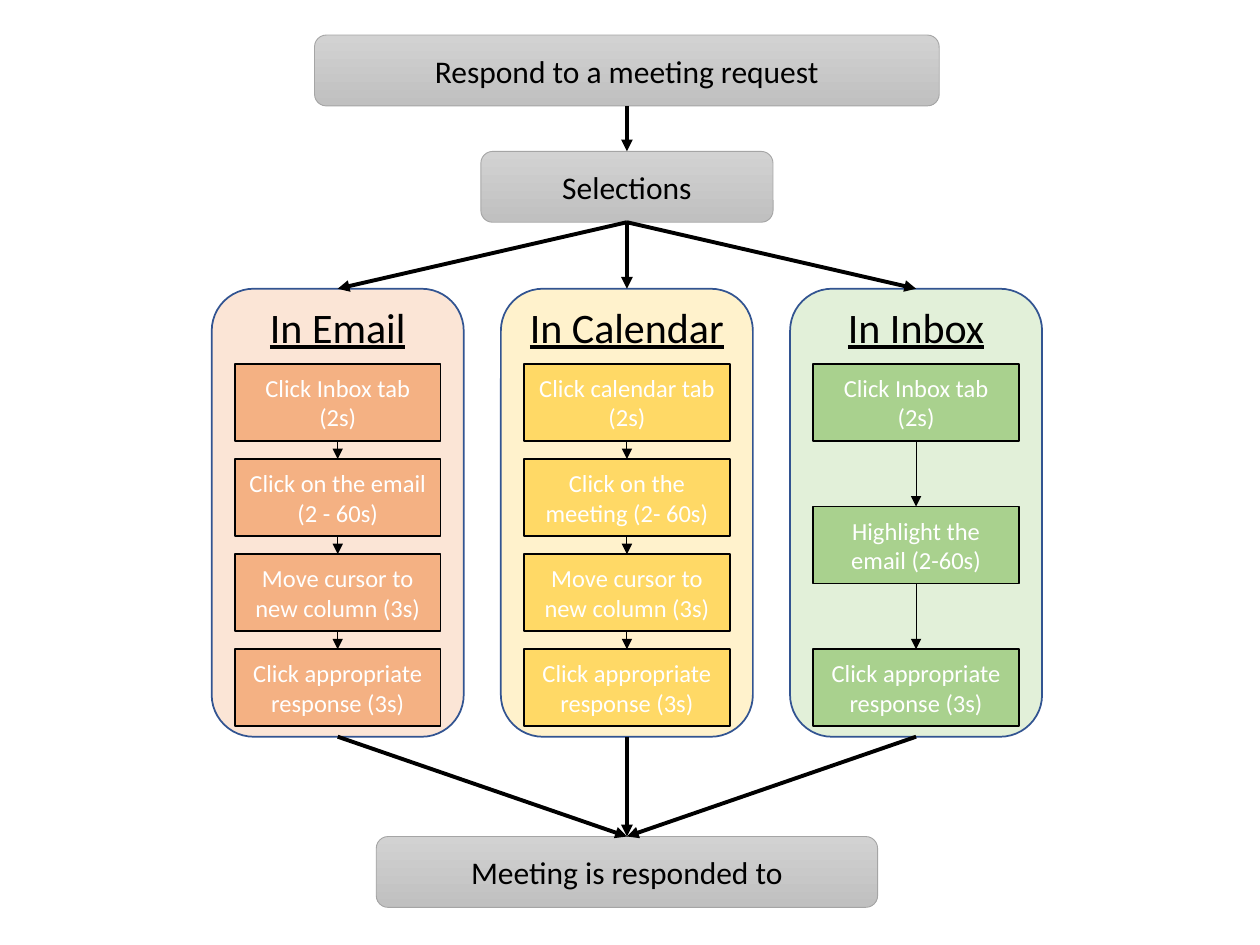
from itertools import pairwise

from lxml.etree import SubElement
from pptx import Presentation
from pptx.dml.color import RGBColor
from pptx.enum.shapes import MSO_CONNECTOR, MSO_SHAPE
from pptx.enum.text import MSO_ANCHOR, PP_ALIGN
from pptx.oxml.ns import qn
from pptx.util import Pt

BLACK = RGBColor(0x00, 0x00, 0x00)
WHITE = RGBColor(0xFF, 0xFF, 0xFF)
NAVY = RGBColor(0x32, 0x54, 0x91)
GREY = RGBColor(0xA5, 0xA5, 0xA5)
GREY_TOP = RGBColor(0xD2, 0xD2, 0xD2)
GREY_BOTTOM = RGBColor(0xC0, 0xC0, 0xC0)
PEACH = RGBColor(0xFB, 0xE5, 0xD6)
ORANGE = RGBColor(0xF4, 0xB1, 0x83)
CREAM = RGBColor(0xFF, 0xF2, 0xCC)
YELLOW = RGBColor(0xFF, 0xD9, 0x66)
MINT = RGBColor(0xE2, 0xF0, 0xD9)
GREEN = RGBColor(0xA9, 0xD1, 0x8E)

GOAL = ("Respond to a meeting request", 20, 357)
CHOICE = ("Selections", 86.5, 167)
RESULT = ("Meeting is responded to", 478, 286.5)
METHODS = [
    ("In Email", PEACH, ORANGE, [
        "Click Inbox tab (2s)",
        "Click on the email (2 - 60s)",
        "Move cursor to new column (3s)",
        "Click appropriate response (3s)",
    ]),
    ("In Calendar", CREAM, YELLOW, [
        "Click calendar tab (2s)",
        "Click on the meeting (2- 60s)",
        "Move cursor to new column (3s)",
        "Click appropriate response (3s)",
    ]),
    ("In Inbox", MINT, GREEN, [
        "Click Inbox tab (2s)",
        "Highlight the email (2-60s)",
        "Click appropriate response (3s)",
    ]),
]

MIDDLE, METHOD_PITCH = 358.25, 165.25
STAGE_HEIGHT = 40.5
METHOD_TOP, METHOD_WIDTH, METHOD_HEIGHT = 165, 144, 256
STEP_FIRST, STEP_LAST, STEP_WIDTH, STEP_HEIGHT = 208, 371, 117.5, 44
TOP_SITE, BOTTOM_SITE = 0, 2

STAGE_FONT = {"name": "Calibri", "size": Pt(18)}
METHOD_FONT = {"name": "Calibri", "size": Pt(24), "underline": True}
STEP_FONT = {"name": "Calibri", "size": Pt(14)}

presentation = Presentation()
presentation.slide_width, presentation.slide_height = Pt(720), Pt(540)
slide = presentation.slides.add_slide(presentation.slide_layouts[6])


def add_box(kind, text, center, top, width, height, font, color, outline, weight):
    box = slide.shapes.add_shape(
        kind, Pt(center - width / 2), Pt(top), Pt(width), Pt(height))
    box.shadow.inherit = False
    box.line.color.rgb = outline
    box.line.width = Pt(weight)
    frame = box.text_frame
    frame.word_wrap = True
    frame.vertical_anchor = MSO_ANCHOR.MIDDLE
    paragraph = frame.paragraphs[0]
    paragraph.alignment = PP_ALIGN.CENTER
    run = paragraph.add_run()
    run.text = text
    for attribute, value in font.items():
        setattr(run.font, attribute, value)
    run.font.color.rgb = color
    return box


def add_stage(text, top, width):
    stage = add_box(MSO_SHAPE.ROUNDED_RECTANGLE, text, MIDDLE, top, width,
                    STAGE_HEIGHT, STAGE_FONT, BLACK, GREY, 0.5)
    stage.fill.gradient()
    stage.fill.gradient_angle = 270
    for stop, color in zip(stage.fill.gradient_stops, (GREY_TOP, GREY_BOTTOM)):
        stop.color.rgb = color
    return stage


def add_method(text, center, fill):
    method = add_box(MSO_SHAPE.ROUNDED_RECTANGLE, text, center, METHOD_TOP,
                     METHOD_WIDTH, METHOD_HEIGHT, METHOD_FONT, BLACK, NAVY, 1)
    method.fill.solid()
    method.fill.fore_color.rgb = fill
    method.text_frame.vertical_anchor = MSO_ANCHOR.TOP
    method.text_frame.margin_top = 0
    return method


def add_step(text, center, top, fill):
    step = add_box(MSO_SHAPE.RECTANGLE, text, center, top, STEP_WIDTH,
                   STEP_HEIGHT, STEP_FONT, WHITE, BLACK, 1)
    step.fill.solid()
    step.fill.fore_color.rgb = fill
    return step


def add_arrow(source, target, weight):
    arrow = slide.shapes.add_connector(MSO_CONNECTOR.STRAIGHT, 0, 0, 0, 0)
    arrow.begin_connect(source, BOTTOM_SITE)
    arrow.end_connect(target, TOP_SITE)
    arrow.line.color.rgb = BLACK
    arrow.line.width = Pt(weight)
    SubElement(arrow.line._get_or_add_ln(), qn("a:tailEnd"), type="triangle")
    SubElement(arrow._element.spPr, qn("a:effectLst"))


goal, choice, result = (add_stage(*stage) for stage in (GOAL, CHOICE, RESULT))
add_arrow(goal, choice, 2.25)

for column, (heading, pale, strong, actions) in enumerate(METHODS):
    center = MIDDLE + (column - 1) * METHOD_PITCH
    method = add_method(heading, center, pale)
    add_arrow(choice, method, 2.25)
    add_arrow(method, result, 2.25)
    pitch = (STEP_LAST - STEP_FIRST) / (len(actions) - 1)
    steps = [add_step(action, center, STEP_FIRST + row * pitch, strong)
             for row, action in enumerate(actions)]
    for step, following in pairwise(steps):
        add_arrow(step, following, 0.5)

presentation.save("out.pptx")
